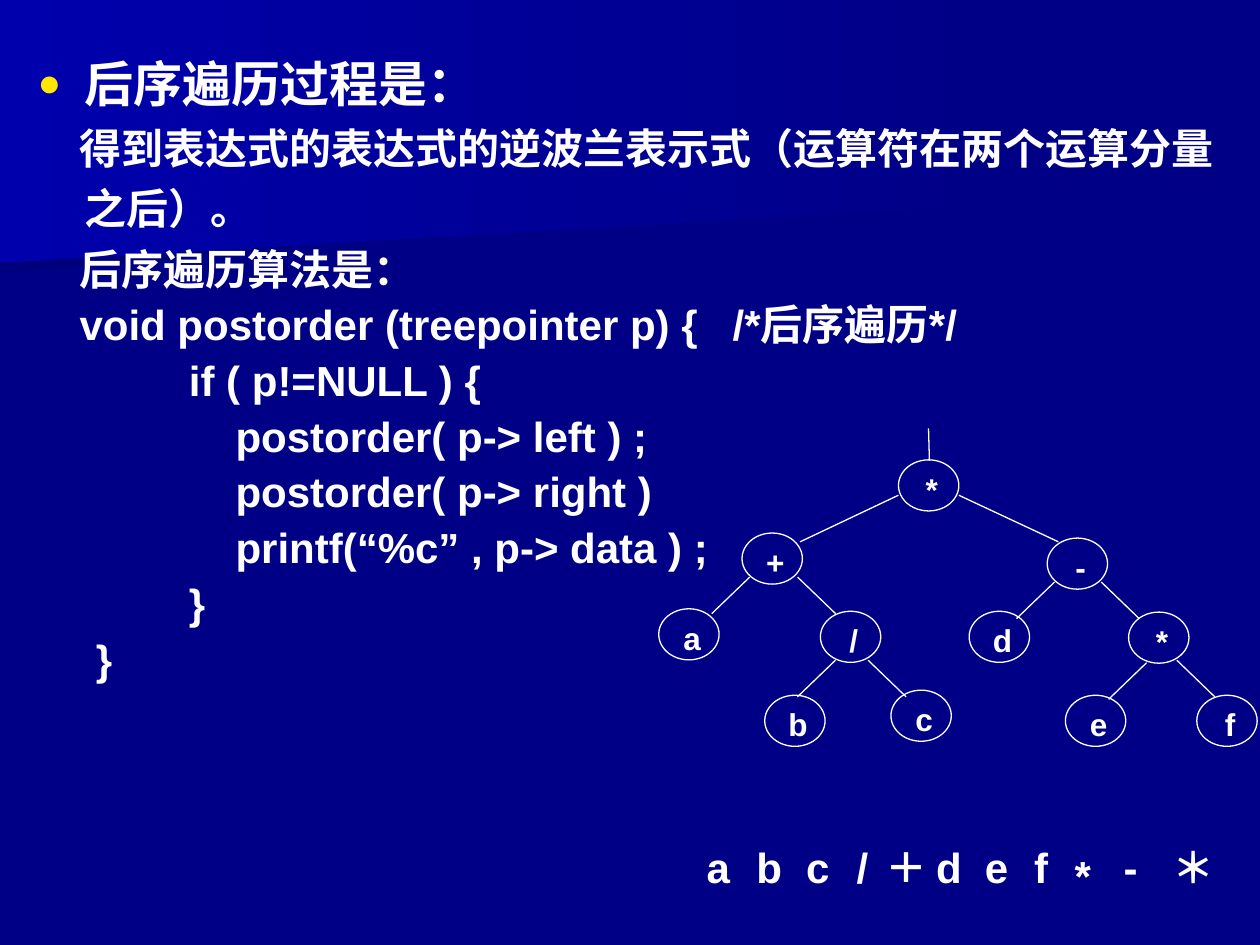
import pptx
import pptx.util
import pptx.dml.color
import pptx.enum.shapes
import pptx.enum.text
import pptx.oxml
import pptx.oxml.ns

Pt = pptx.util.Pt


def tint(code):
    return pptx.dml.color.RGBColor.from_string(code)


def label(text, x, y, w, h, size, pad, align):
    """Add a white bold text box; pad is its (side, top) inset."""
    box = slide.shapes.add_textbox(Pt(x), Pt(y), Pt(w), Pt(h))
    frame = box.text_frame
    frame.word_wrap = True
    frame.margin_left = frame.margin_right = Pt(pad[0])
    frame.margin_top = frame.margin_bottom = Pt(pad[1])
    para = frame.paragraphs[0]
    para.alignment = align
    run = para.add_run()
    run.text = text
    run.font.name, run.font.size, run.font.bold = "Arial", Pt(size), True
    run.font.color.rgb = tint("FFFFFF")
    return frame


deck = pptx.Presentation()
deck.slide_width, deck.slide_height = Pt(720), Pt(540)
slide = deck.slides.add_slide(deck.slide_layouts[6])
slide.background.fill.solid()
slide.background.fill.fore_color.rgb = tint("000086")

# Backdrop: a dark band under a brighter wedge
bands = [
    ([(560.2, 110.2), (0, 156.2), (0, 72.7), (560.9, 72.7), (560.2, 92.2)], "00007D"),
    ([(570.2, 116.6), (0, 149.8), (0, 0), (570.2, 0)], "0000AC"),
]
for points, left in bands:
    path = slide.shapes.build_freeform(*points[0], scale=12700.0)
    path.add_line_segments(points[1:], close=True)
    band = path.convert_to_shape()
    band.shadow.inherit = False
    band.line.fill.background()
    band.fill.gradient()
    band.fill.gradient_angle = 180
    for stop, code in zip(band.fill.gradient_stops, ["000086", left]):
        stop.color.rgb = tint(code)

# Body: text, size, first-line indent, line spacing, space before
rows = [
    ("后序遍历过程是：", 28, -27, 1.2, 0),
    ("得到表达式的表达式的逆波兰表示式（运算符在两个运算分量之后）。", 24, -3, 1.2, 0),
    ("后序遍历算法是：", 24, -3, 1.2, 0),
]
code_lines = [
    "　void postorder (treepointer p) {   /*后序遍历*/",
    "             if ( p!=NULL ) {",
    "                 postorder( p-> left ) ;",
    "                 postorder( p-> right )",
    "                 printf(“%c” , p-> data ) ;",
    "             }",
    "     }",
]
rows += [(line, 24, -27, 0.9, 6) for line in code_lines]

body = slide.shapes.add_textbox(Pt(14.4), Pt(20.2), Pt(705.6), Pt(380.2)).text_frame
body.word_wrap = True
for num, (text, size, indent, space, gap) in enumerate(rows):
    para = body.add_paragraph() if num else body.paragraphs[0]
    para.line_spacing = space
    if gap:
        para.space_before = Pt(gap)
    props = para._p.get_or_add_pPr()
    props.set("marL", str(Pt(27)))
    props.set("indent", str(Pt(indent)))
    if num == 0:
        for part in ('buClr {}><a:srgbClr val="FFE701"/></a:buClr>',
                     'buSzPct {} val="80000"/>',
                     'buFont {} typeface="Arial"/>',
                     'buChar {} char="●"/>'):
            spot = pptx.oxml.ns.nsdecls("a")
            props.append(pptx.oxml.parse_xml("<a:" + part.format(spot)))
    run = para.add_run()
    run.text = text
    run.font.name, run.font.size, run.font.bold = "Arial", Pt(size), True
    run.font.color.rgb = tint("FFFFFF")

# Tree nodes
nodes = [
    ("*", 513.4, 262.8), ("+", 424, 304.6), ("-", 598.4, 307.5),
    ("a", 376.4, 347.9), ("/", 468.8, 349.3), ("d", 553.8, 349.3),
    ("*", 644.9, 349.8), ("b", 437, 397.3), ("c", 509.1, 394.4),
    ("e", 608.8, 397.3), ("f", 683.9, 397.3),
]
for text, x, y in nodes:
    label(text, x + 1.8, y + 4.9, 34.5, 24.5, 18, (0.7, 0.7),
          pptx.enum.text.PP_ALIGN.CENTER)
    ring = slide.shapes.add_shape(pptx.enum.shapes.MSO_SHAPE.OVAL,
                                  Pt(x), Pt(y), Pt(34.5), Pt(29.2))
    ring.shadow.inherit = False
    ring.fill.background()
    ring.line.color.rgb = tint("FFFFFF")
    ring.line.width = Pt(0.75)

# Tree edges: three at the root, the rest share one slope to either side
edges = [
    (530.6, 244.8, 531.1, 263.2),
    (513.4, 283, 457.2, 309.6),
    (547.9, 283, 604.8, 309.6),
]
forks = [
    (428.4, 329.8, -1), (455.8, 329.8, 1), (477.4, 377.3, -1), (496.1, 377.3, 1),
    (602.6, 332.6, -1), (629.3, 332.6, 1), (655.2, 378.7, -1), (672.5, 377.3, 1),
]
edges += [(x, y, x + side * 21.7, y + 20.9) for x, y, side in forks]
for edge in edges:
    line = slide.shapes.add_connector(pptx.enum.shapes.MSO_CONNECTOR.STRAIGHT,
                                      *[Pt(value) for value in edge])
    line.line.color.rgb = tint("FFFFFF")
    line.line.width = Pt(0.75)
    line._element.spPr.append(pptx.oxml.parse_xml(
        "<a:effectLst %s/>" % pptx.oxml.ns.nsdecls("a")))

# Postfix result
marks = [("a", 396.7), ("b", 425.2), ("c", 453.6), ("/", 482.4), ("＋", 499),
         ("d", 527.8), ("e", 555.8), ("f", 583.9), ("*", 607), ("-", 635),
         ("＊", 663.1)]
for text, x in marks:
    top = 481.7 if text == "*" else 477.6
    label(text, x, top, 33.8, 36, 24, (7.2, 3.6), pptx.enum.text.PP_ALIGN.LEFT)

deck.save("out.pptx")
